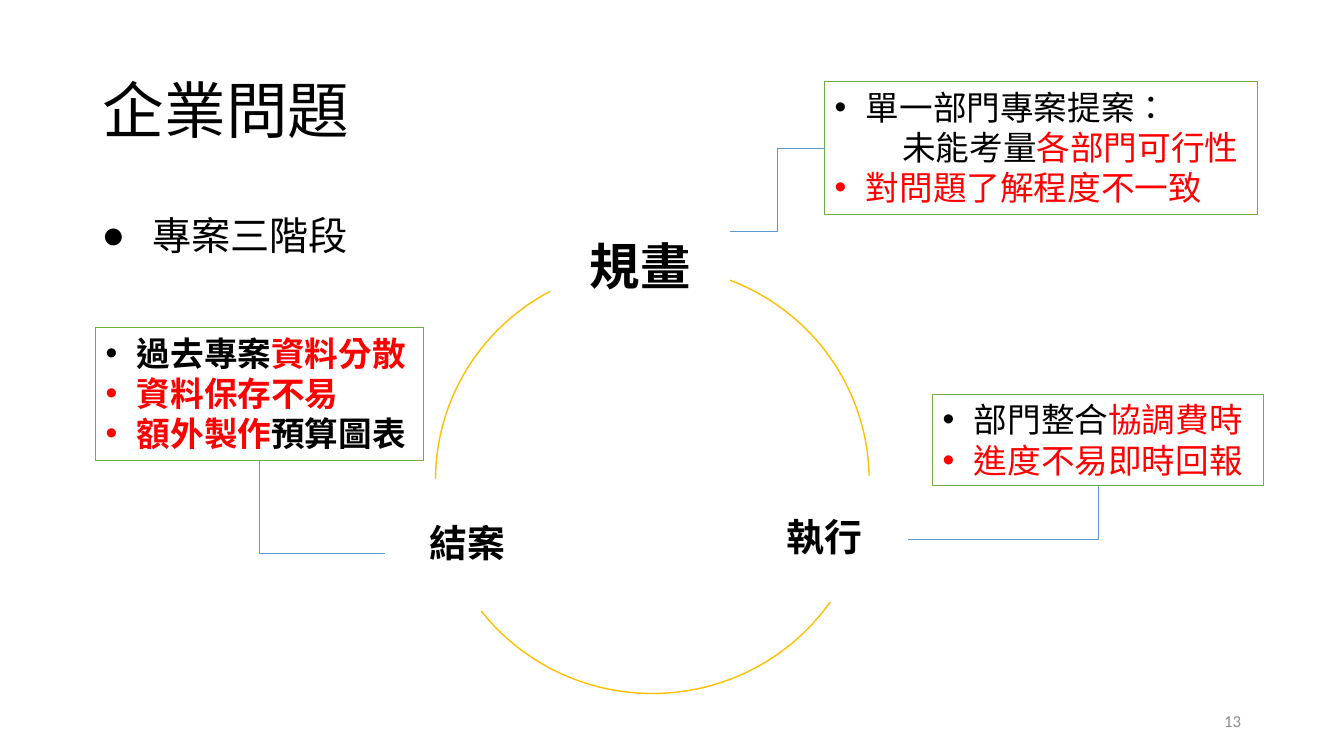
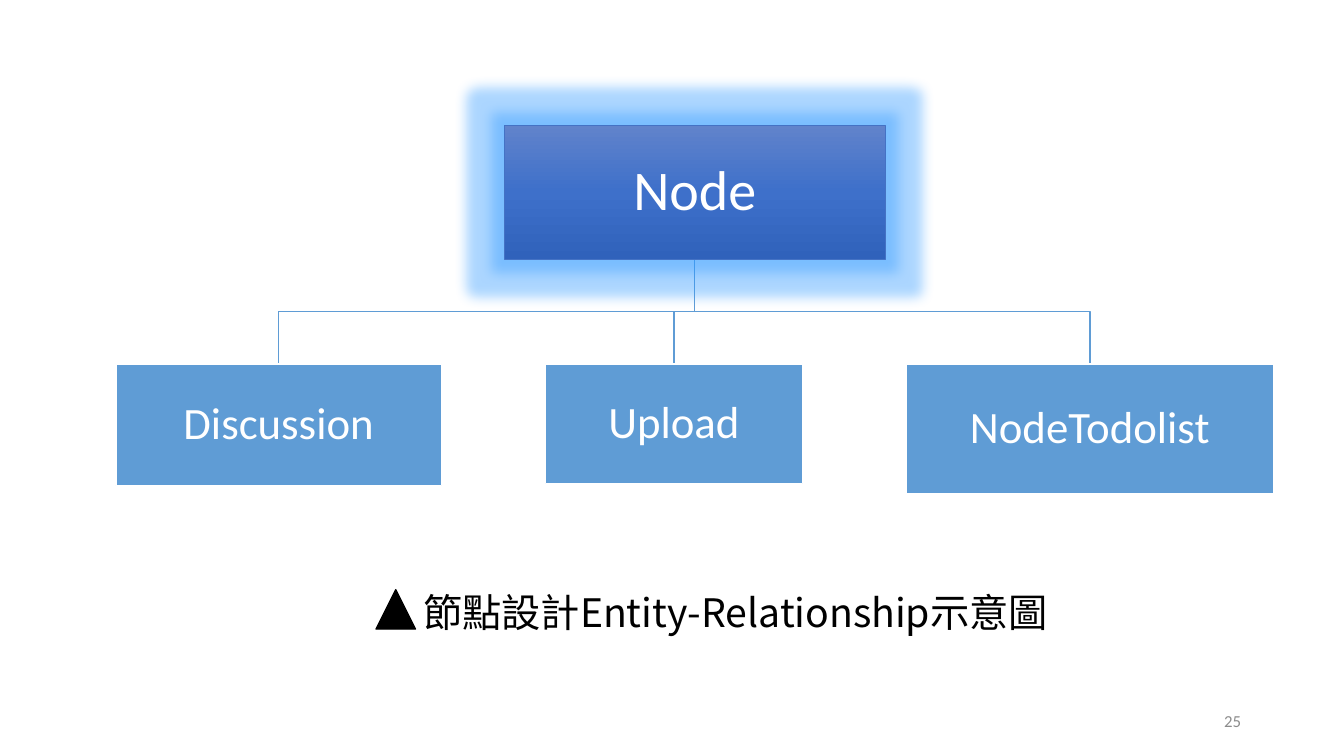
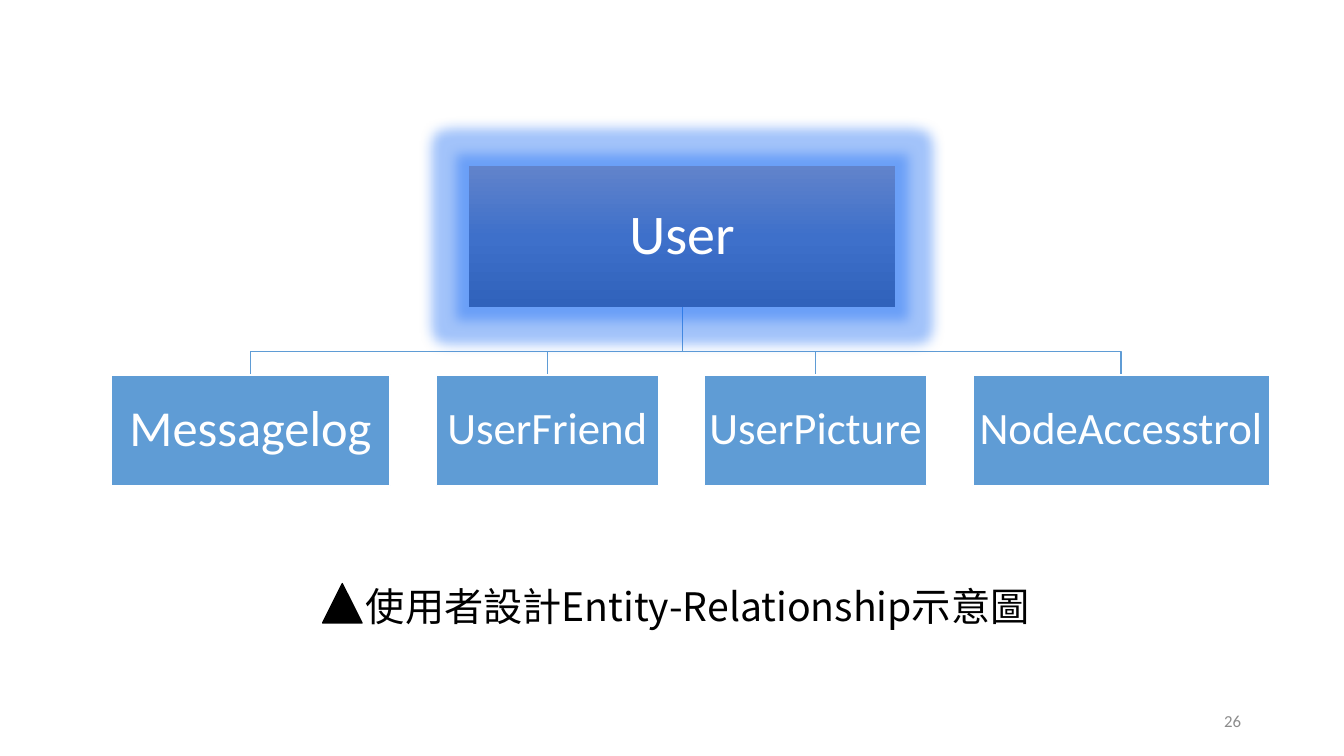
"""Build three slides: a project cycle and two entity-relationship trees."""
from lxml.etree import SubElement
from pptx import Presentation
from pptx.dml.color import RGBColor
from pptx.enum.shapes import MSO_CONNECTOR, MSO_SHAPE
from pptx.enum.text import MSO_ANCHOR, MSO_AUTO_SIZE, PP_ALIGN
from pptx.oxml.ns import qn
from pptx.util import Inches, Pt

BLACK = RGBColor(0, 0, 0)
WHITE = RGBColor(255, 255, 255)
RED = RGBColor(255, 0, 0)
GRAY = RGBColor(0x8C, 0x8C, 0x8C)
GOLD = RGBColor(0xFF, 0xC0, 0x00)
GREEN = RGBColor(0x70, 0xAD, 0x47)
LINK_BLUE = RGBColor(0x5B, 0x9B, 0xD5)
TREE_BLUE = RGBColor(0x5F, 0x9C, 0xD5)
BORDER_BLUE = RGBColor(0x44, 0x72, 0xC4)
SKY_GLOW = RGBColor(0x31, 0x9A, 0xFF)
ROYAL_GLOW = RGBColor(0x17, 0x6A, 0xF4)
ROOT_STOPS = (
    (0, RGBColor(0x61, 0x83, 0xCB)),
    (50, RGBColor(0x3E, 0x70, 0xCA)),
    (100, RGBColor(0x30, 0x62, 0xBB)),
)
CHINESE_FONT = "Noto Sans CJK SC"
LATIN_FONT = "Calibri"


def add_span(para, text, size, color=BLACK, bold=False, font=CHINESE_FONT):
    """Append one formatted run to a paragraph."""
    span = para.add_run()
    span.text = text
    span.font.size = Pt(size)
    span.font.bold = bold
    span.font.color.rgb = color
    span.font.name = font
    properties = span.font._element
    properties.set("lang", "zh-TW")
    SubElement(properties, qn("a:ea"), typeface=font)


def set_indent(para, left, bullet=None, hanging=0.0):
    """Indent a paragraph and give it a bullet if one is named."""
    properties = para._p.get_or_add_pPr()
    properties.set("marL", str(Inches(left)))
    properties.set("indent", str(-Inches(hanging)))
    if bullet:
        SubElement(properties, qn("a:buFont"), typeface="Arial")
        SubElement(properties, qn("a:buChar"), char=bullet)


def set_frame(frame, anchor=MSO_ANCHOR.TOP, margin=None):
    """Wrap a text frame, anchor it and set equal margins if given."""
    frame.word_wrap = True
    frame.auto_size = MSO_AUTO_SIZE.NONE
    frame.vertical_anchor = anchor
    if margin is not None:
        frame.margin_left = frame.margin_right = Inches(margin)
        frame.margin_top = frame.margin_bottom = Inches(margin)


def add_box(page, kind, place, fill=None, line=None, width=1.0):
    """Add a preset shape with plain fill and line."""
    box = page.shapes.add_shape(kind, *map(Inches, place))
    box.shadow.inherit = False
    if fill is None:
        box.fill.background()
    else:
        box.fill.solid()
        box.fill.fore_color.rgb = fill
    if line is None:
        box.line.fill.background()
    else:
        box.line.color.rgb = line
        box.line.width = Pt(width)
    return box


def add_label(box, text, size, margin, color, bold=False, font=LATIN_FONT):
    """Centre one line of text in a shape."""
    set_frame(box.text_frame, MSO_ANCHOR.MIDDLE, margin)
    para = box.text_frame.paragraphs[0]
    para.alignment = PP_ALIGN.CENTER
    para.line_spacing = 0.9
    add_span(para, text, size, color, bold, font)


def add_elbow(page, start, end, box, side, preset="bentConnector3"):
    """Lead a bent line from a stage to the side of its problem box."""
    ends = map(Inches, (*start, *end))
    link = page.shapes.add_connector(MSO_CONNECTOR.ELBOW, *ends)
    link.line.color.rgb = LINK_BLUE
    link.line.width = Pt(0.5)
    SubElement(link._element.spPr, qn("a:effectLst"))
    link._element.spPr.find(qn("a:prstGeom")).set("prst", preset)
    link.end_connect(box, side)


def add_branch(page, points):
    """Add an open outline that runs from the root to one child."""
    start, *rest = [tuple(map(Inches, point)) for point in points]
    builder = page.shapes.build_freeform(*start)
    builder.add_line_segments(rest, close=False)
    branch = builder.convert_to_shape()
    branch.shadow.inherit = False
    branch.fill.background()
    branch.line.color.rgb = TREE_BLUE
    branch.line.width = Pt(1)


def add_page(deck, number, title, size, place):
    """Add a title-only page with its title and page number."""
    page = deck.slides.add_slide(deck.slide_layouts[5])
    heading = page.shapes.title
    heading.left, heading.top, heading.width, heading.height = map(Inches, place)
    set_frame(heading.text_frame, MSO_ANCHOR.MIDDLE)
    para = heading.text_frame.paragraphs[0]
    para.alignment = PP_ALIGN.LEFT
    para.line_spacing = 0.9
    add_span(para, title, size)

    footer = page.shapes.add_textbox(*map(Inches, (9.41, 6.95, 3, 0.4)))
    set_frame(footer.text_frame, MSO_ANCHOR.MIDDLE)
    para = footer.text_frame.paragraphs[0]
    para.alignment = PP_ALIGN.RIGHT
    add_span(para, str(number), 12, GRAY, font=LATIN_FONT)
    return page


def add_stage(page, text, size, place, margin):
    """Add a white rounded stage label that interrupts the circle."""
    stage = add_box(page, MSO_SHAPE.ROUNDED_RECTANGLE, place, WHITE)
    add_label(stage, text, size, margin, BLACK, True, CHINESE_FONT)


def add_problems(page, place, lines, width=0.75, bold=False):
    """Add a framed list whose lines are (bulleted, spans) pairs."""
    box = add_box(page, MSO_SHAPE.RECTANGLE, place, WHITE, GREEN, width)
    set_frame(box.text_frame)
    for index, (bulleted, spans) in enumerate(lines):
        frame = box.text_frame
        para = frame.add_paragraph() if index else frame.paragraphs[0]
        para.alignment = PP_ALIGN.LEFT
        if bulleted:
            set_indent(para, 0.31, "•", 0.31)
        else:
            set_indent(para, 0.67)
        for text, color in spans:
            add_span(para, text, 24, color, bold)
    return box


def add_glow(shape, color):
    """Surround a shape with a translucent glow."""
    effects = shape._element.spPr.find(qn("a:effectLst"))
    glow = SubElement(effects, qn("a:glow"), rad=str(Pt(18)))
    tint = SubElement(glow, qn("a:srgbClr"), val=str(color))
    SubElement(tint, qn("a:alpha"), val="40000")


def add_root(page, text, place, glow, line):
    """Add the glowing gradient box at the top of a tree."""
    root = add_box(page, MSO_SHAPE.RECTANGLE, place, line=line, width=0.5)
    root.fill.gradient()
    root.fill.gradient_angle = 270
    stops = root.fill._fill._gradFill.find(qn("a:gsLst"))
    for stop in list(stops):
        stops.remove(stop)
    for position, color in ROOT_STOPS:
        stop = SubElement(stops, qn("a:gs"), pos=str(position * 1000))
        SubElement(stop, qn("a:srgbClr"), val=str(color))
    add_glow(root, glow)
    add_label(root, text, 40, 0.03, WHITE)


def add_children(page, trunk, bus, top, left, gap, children):
    """Add a row of equally spaced child boxes and their branches."""
    for text, size, width, height in children:
        middle = left + width / 2
        center, bottom = trunk
        add_branch(page, (trunk, (center, bus), (middle, bus), (middle, top)))
        place = (left, top, width, height)
        child = add_box(page, MSO_SHAPE.RECTANGLE, place, TREE_BLUE, WHITE)
        add_label(child, text, size, 0.02, WHITE)
        left += width + gap


def add_marker(page, left, top):
    """Add the black triangle before a caption."""
    place = (left, top, 0.39, 0.39)
    add_box(page, MSO_SHAPE.ISOSCELES_TRIANGLE, place, BLACK, BLACK)


def build_cycle(deck):
    """Build the three project stages and their problems."""
    page = add_page(deck, 13, "企業問題", 44, (0.92, 0.4, 11.5, 1.45))
    subtitle = page.shapes.add_textbox(*map(Inches, (0.91, 2.05, 4.19, 0.57)))
    set_frame(subtitle.text_frame)
    para = subtitle.text_frame.paragraphs[0]
    set_indent(para, 0.5, "●", 0.5)
    add_span(para, "專案三階段", 28)

    add_box(page, MSO_SHAPE.OVAL, (4.32, 2.64, 4.3, 4.24), line=GOLD)
    add_stage(page, "規畫", 36, (5.46, 2.12, 1.78, 1.1), 0.2)
    add_stage(page, "執行", 27, (7.35, 4.72, 1.66, 1.25), 0.16)
    add_stage(page, "結案", 27, (3.82, 4.75, 1.63, 1.31), 0.16)

    closing = add_problems(page, (0.95, 3.25, 3.25, 1.32), (
        (True, (("過去專案", BLACK), ("資料分散", RED))),
        (True, (("資料保存不易", RED),)),
        (True, (("額外製作", RED), ("預算圖表", BLACK))),
    ), 1, True)
    running = add_problems(page, (9.25, 3.91, 3.28, 0.91), (
        (True, (("部門整合", BLACK), ("協調費時", RED))),
        (True, (("進度不易即時回報", RED),)),
    ))
    planning = add_problems(page, (8.18, 0.81, 4.29, 1.32), (
        (True, (("單一部門專案提案：", BLACK),)),
        (False, (("未能考量", BLACK), ("各部門可行性", RED))),
        (True, (("對問題了解程度不一致", RED),)),
    ))
    add_elbow(page, (3.82, 5.49), (2.57, 4.57), closing, 2, "bentConnector2")
    add_elbow(page, (9.01, 5.35), (10.89, 4.82), running, 2, "bentConnector2")
    add_elbow(page, (7.24, 2.3), (8.18, 1.47), planning, 1)


def build_node_tree(deck):
    """Build the entity tree of a node."""
    caption = "節點設計Entity-Relationship示意圖"
    page = add_page(deck, 25, caption, 28, (4.1, 5.37, 9, 1.45))
    add_children(page, (6.89, 2.57), 3.09, 3.61, 1.15, 1.03, (
        ("Discussion", 32, 3.23, 1.21),
        ("Upload", 32, 2.55, 1.19),
        ("NodeTodolist", 32, 3.64, 1.29),
    ))
    add_root(page, "Node", (5, 1.24, 3.78, 1.33), SKY_GLOW, BORDER_BLUE)
    add_marker(page, 3.73, 5.85)


def build_user_tree(deck):
    """Build the entity tree of a user."""
    caption = "使用者設計Entity-Relationship示意圖"
    page = add_page(deck, 26, caption, 28, (3.53, 5.31, 9, 1.45))
    add_children(page, (6.77, 3.05), 3.49, 3.72, 1.1, 0.46, (
        ("Messagelog", 36, 2.77, 1.1),
        ("UserFriend", 32, 2.2, 1.1),
        ("UserPicture", 32, 2.2, 1.1),
        ("NodeAccesstrol", 32, 2.94, 1.1),
    ))
    add_root(page, "User", (4.65, 1.65, 4.23, 1.4), ROYAL_GLOW, None)
    add_marker(page, 3.2, 5.79)


def main():
    """Build and save the deck."""
    deck = Presentation()
    deck.slide_width = Inches(13.33)
    deck.slide_height = Inches(7.5)
    build_cycle(deck)
    build_node_tree(deck)
    build_user_tree(deck)
    deck.save("out.pptx")


if __name__ == "__main__":
    main()
